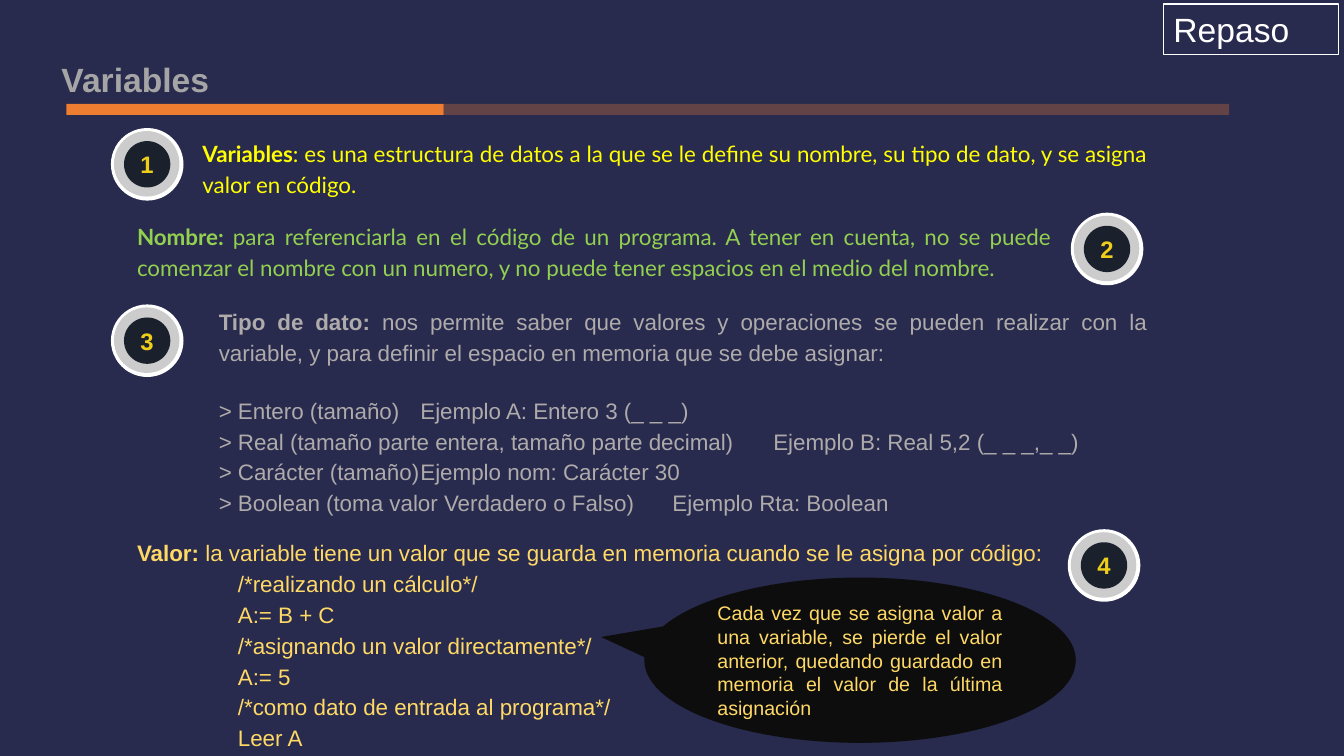
from lxml.etree import SubElement
from pptx import Presentation
from pptx.dml.color import RGBColor
from pptx.enum.shapes import MSO_SHAPE as SHAPE
from pptx.enum.text import MSO_ANCHOR as ANCHOR, MSO_AUTO_SIZE as AUTO_SIZE, PP_ALIGN as ALIGN
from pptx.oxml.ns import qn
from pptx.util import Pt

PX = 9144  # 100 px to the inch
COLORS = {
    "night": "282A4E", "orange": "ED7D31", "title": "A5A5A5", "yellow": "FFFF00",
    "green": "92D050", "gray": "AFABAB", "gold": "FFD966", "number": "EECE1A",
    "white": "FFFFFF", "ring": "CCCCCC", "core": "1B212C", "black": "0D0D0D",
}


def add_text(box, text, lead="", size=16, font="Arial", color="white", bold=False,
             align=ALIGN.JUSTIFY, spacing=1.15, before=0, indent=0, tab=None):
    """Add a paragraph, with an optional bold lead-in, to the box."""
    frame = box.text_frame
    para = frame.paragraphs[0]
    if para.runs:
        para = frame.add_paragraph()
    para.alignment, para.line_spacing = align, spacing
    para.space_before, para.space_after = Pt(before), Pt(0)
    props = para._p.get_or_add_pPr()
    props.set("marL", str(indent * PX))
    props.set("indent", "0")
    SubElement(props, qn("a:buNone"))
    if tab:
        stops = SubElement(props, qn("a:tabLst"))
        SubElement(stops, qn("a:tab"), pos=str(tab * PX), algn="l")
    for words, heavy in ((lead, True), (text, bold)):
        if words:
            span = para.add_run()
            span.text = words
            span.font.size, span.font.name, span.font.bold = Pt(size), font, heavy
            span.font.color.rgb = RGBColor.from_string(COLORS[color])


def add_filled(shapes, kind, left, top, width, height, color):
    """Add a plain shape with a solid fill and no line."""
    shape = shapes.add_shape(kind, left * PX, top * PX, width * PX, height * PX)
    shape.shadow.inherit = False
    shape.fill.solid()
    shape.fill.fore_color.rgb = RGBColor.from_string(COLORS[color])
    shape.line.fill.background()
    return shape


deck = Presentation()
deck.slide_width, deck.slide_height = 1333 * PX, 750 * PX
page = deck.slides.add_slide(deck.slide_layouts[1])
page.background.fill.solid()
page.background.fill.fore_color.rgb = RGBColor.from_string(COLORS["night"])

# Text areas: box, left, top, width, height, left inset, vertical inset
title, types = page.shapes.title, page.placeholders[1]
intro, name, value, review = [page.shapes.add_textbox(0, 0, 0, 0) for _ in range(4)]
for box, left, top, width, height, inset, margin in (
    (title, 51, 53, 728, 50, 10, 5),
    (intro, 191, 125, 957, 41, 10, 10),
    (name, 110, 207, 943, 85, 26, 10),
    (types, 191, 292, 957, 85, 26, 10),
    (value, 110, 521, 943, 85, 26, 10),
    (review, 1154, 4, 174, 50, 10, 5),
):
    box.left, box.top, box.width, box.height = left * PX, top * PX, width * PX, height * PX
    frame = box.text_frame
    frame.word_wrap, frame.auto_size = True, AUTO_SIZE.NONE
    frame.vertical_anchor = ANCHOR.TOP
    frame.margin_left, frame.margin_right = inset * PX, 10 * PX
    frame.margin_top = frame.margin_bottom = margin * PX

# Title and its two-tone rule
add_text(title, "Variables", size=24, color="title", bold=True, align=ALIGN.LEFT, spacing=1)
add_filled(page.shapes, SHAPE.RECTANGLE, 66, 103, 374, 11, "orange")
faded = add_filled(page.shapes, SHAPE.RECTANGLE, 440, 103, 779, 11, "orange")
tint = faded.fill._xPr.find(qn("a:solidFill")).find(qn("a:srgbClr"))
SubElement(tint, qn("a:alpha"), val="30000")

# Definition and name
add_text(intro, ": es una estructura de datos a la que se le define su nombre, su tipo de dato, "
         "y se asigna valor en código.", lead="Variables", font="Lato", color="yellow")
add_text(name, "para referenciarla en el código de un programa. A tener en cuenta, no se puede "
         "comenzar el nombre con un numero, y no puede tener espacios en el medio del nombre.",
         lead="Nombre: ", font="Lato", color="green")

# Data types with their examples
add_text(types, "nos permite saber que valores y operaciones se pueden realizar con la variable, "
         "y para definir el espacio en memoria que se debe asignar:",
         lead="Tipo de dato: ", color="gray")
for kind, example, tab, before in (
    ("Entero (tamaño)", "Ejemplo A: Entero 3 (_ _ _)", 500, 19),
    ("Real (tamaño parte entera, tamaño parte decimal)", "Ejemplo B: Real 5,2 (_ _ _,_ _)", 600, 0),
    ("Carácter (tamaño)", "Ejemplo nom: Carácter 30", 400, 0),
    ("Boolean (toma valor Verdadero o Falso)", "Ejemplo Rta: Boolean", 600, 0),
):
    add_text(types, f"> {kind}\t{example}", color="gray", tab=tab, before=before)

# Value and assignment code
add_text(value, "la variable tiene un valor que se guarda en memoria cuando se le asigna por código:",
         lead="Valor: ", color="gold")
for line in ("/*realizando un cálculo*/", "A:= B + C", "/*asignando un valor directamente*/",
             "A:= 5", "/*como dato de entrada al programa*/", "Leer A"):
    add_text(value, line, color="gold", indent=100)

# Numbered badges
badges = ((110, 127), (1062, 211), (110, 302), (1059, 525))
for number, (left, top) in enumerate(badges, 1):
    badge = page.shapes.add_group_shape()
    for size, color in ((72, "white"), (65, "ring"), (46, "core")):
        inset = (72 - size) // 2
        disc = add_filled(badge.shapes, SHAPE.OVAL, left + inset, top + inset, size, size, color)
    frame = disc.text_frame
    frame.vertical_anchor, frame.word_wrap = ANCHOR.MIDDLE, False
    add_text(disc, str(number), size=17, color="number", bold=True, align=ALIGN.CENTER, spacing=1)

# Callout about losing the previous value
callout = add_filled(page.shapes, SHAPE.OVAL_CALLOUT, 639, 573, 428, 164, "black")
callout.adjustments[0], callout.adjustments[1] = -0.6, -0.14
callout.text_frame.vertical_anchor = ANCHOR.MIDDLE
add_text(callout, "Cada vez que se asigna valor a una variable, se pierde el valor anterior, "
         "quedando guardado en memoria el valor de la última asignación",
         size=14, color="gold", spacing=1)

# Review tag
review.line.color.rgb = RGBColor.from_string(COLORS["white"])
review.line.width = Pt(0.75)
add_text(review, "Repaso", size=24, align=ALIGN.LEFT, spacing=1)

deck.save("out.pptx")
